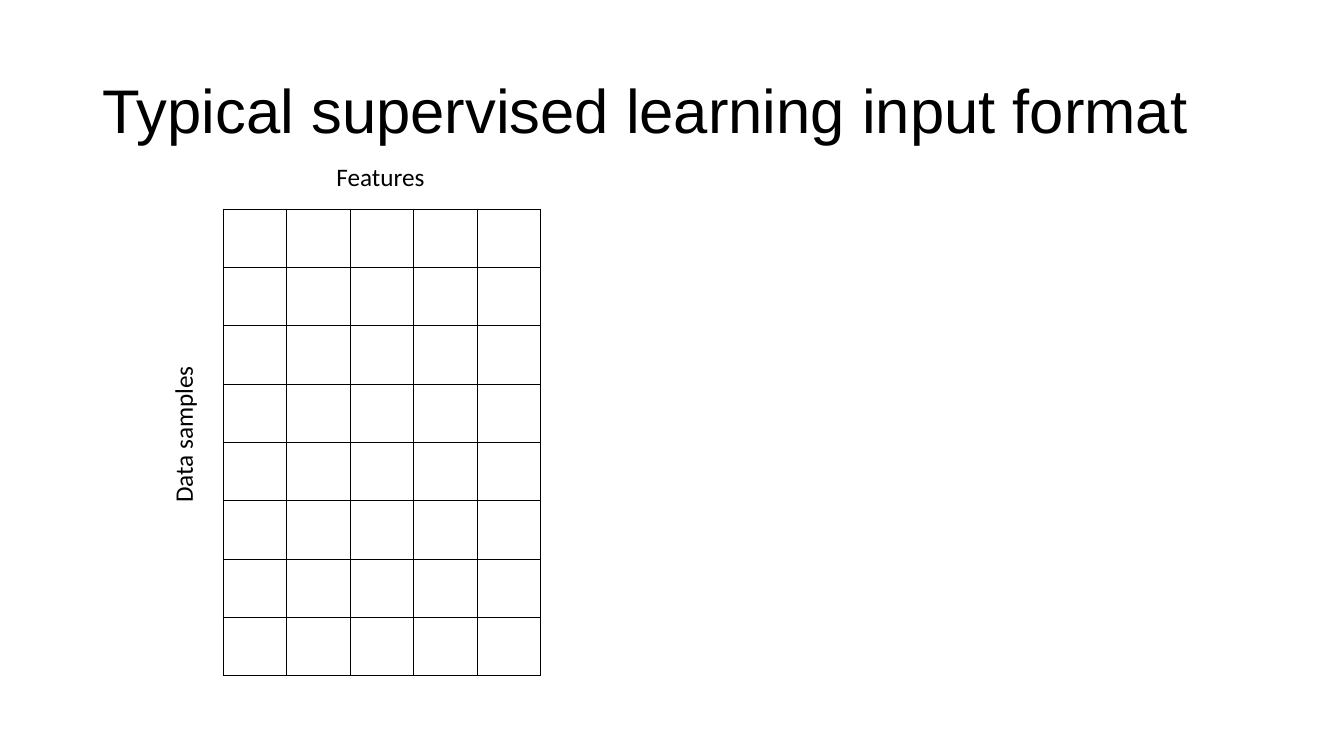
import pptx
import pptx.dml.color
import pptx.enum.text
import pptx.oxml
import pptx.oxml.ns
import pptx.util

Cm = pptx.util.Cm
Pt = pptx.util.Pt
BLACK = "000000"
ROWS, COLS = 8, 5


def paint(color, code):
    color.rgb = pptx.dml.color.RGBColor.from_string(code)


def apply(target, values):
    for name, value in values.items():
        setattr(target, name, value)


def place(shape, left, top, width, height):
    apply(shape, {"left": Cm(left), "top": Cm(top),
                  "width": Cm(width), "height": Cm(height)})


def write(frame, text, font, size):
    line = frame.paragraphs[0]
    run = line.add_run()
    run.text = text
    apply(run.font, {"name": font, "size": Pt(size)})
    paint(run.font.color, BLACK)
    return line


def head(slide, text):
    title = slide.shapes.title
    place(title, 2.33, 1.01, 29.21, 3.68)
    title.text_frame.vertical_anchor = pptx.enum.text.MSO_ANCHOR.MIDDLE
    line = write(title.text_frame, text, "Arial", 44)
    apply(line, {"alignment": pptx.enum.text.PP_ALIGN.LEFT,
                 "line_spacing": 0.9})


def label(slide, text, left, top, width, turn=0):
    box = slide.shapes.add_textbox(Cm(left), Cm(top), Cm(width), Cm(1.03))
    box.rotation = turn
    apply(box.text_frame, {
        "word_wrap": False,
        "auto_size": pptx.enum.text.MSO_AUTO_SIZE.SHAPE_TO_FIT_TEXT})
    write(box.text_frame, text, "Calibri", 18)


def border(cell):
    props = cell._tc.get_or_add_tcPr()
    space = pptx.oxml.ns.nsdecls("a")
    for spot, side in enumerate("LRTB"):
        props.insert(spot, pptx.oxml.parse_xml(
            f'<a:ln{side} {space} w="{Pt(1)}"><a:solidFill>'
            f'<a:srgbClr val="{BLACK}"/></a:solidFill></a:ln{side}>'))


def grid(slide, left, top, width, height):
    """Add an empty table with a black line around each cell."""
    table = slide.shapes.add_table(
        ROWS, COLS, Cm(left), Cm(top), Cm(width), Cm(height)).table
    apply(table, {"first_row": False, "horz_banding": False})
    for cell in table.iter_cells():
        cell.fill.background()
        border(cell)


def main():
    deck = pptx.Presentation()
    apply(deck, {"slide_width": Cm(33.87), "slide_height": Cm(19.05)})
    slide = deck.slides.add_slide(deck.slide_layouts[5])
    head(slide, "Typical supervised learning input format")
    grid(slide, 5.63, 5.27, 8, 11.76)
    label(slide, "Features", 8.23, 3.94, 2.74)
    label(slide, "Data samples", 2.62, 10.41, 3.99, 270)
    deck.save("out.pptx")


if __name__ == "__main__":
    main()
